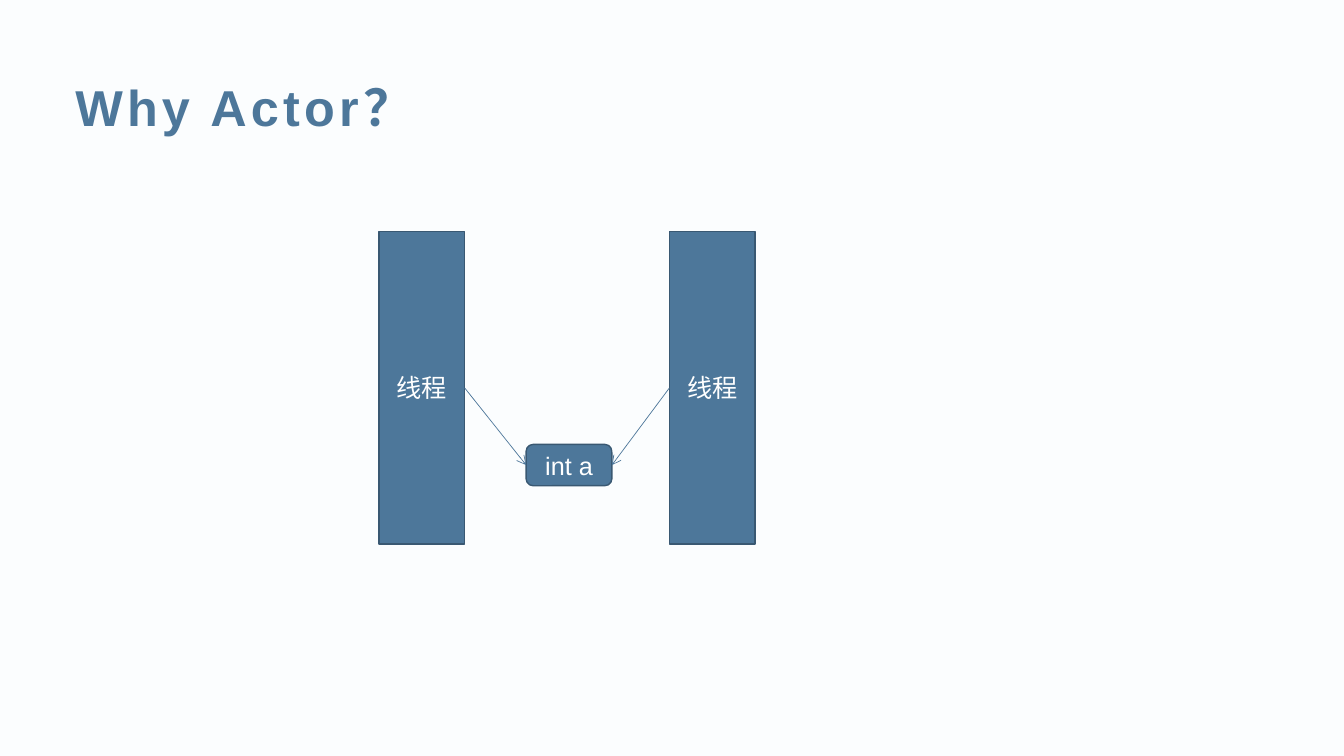
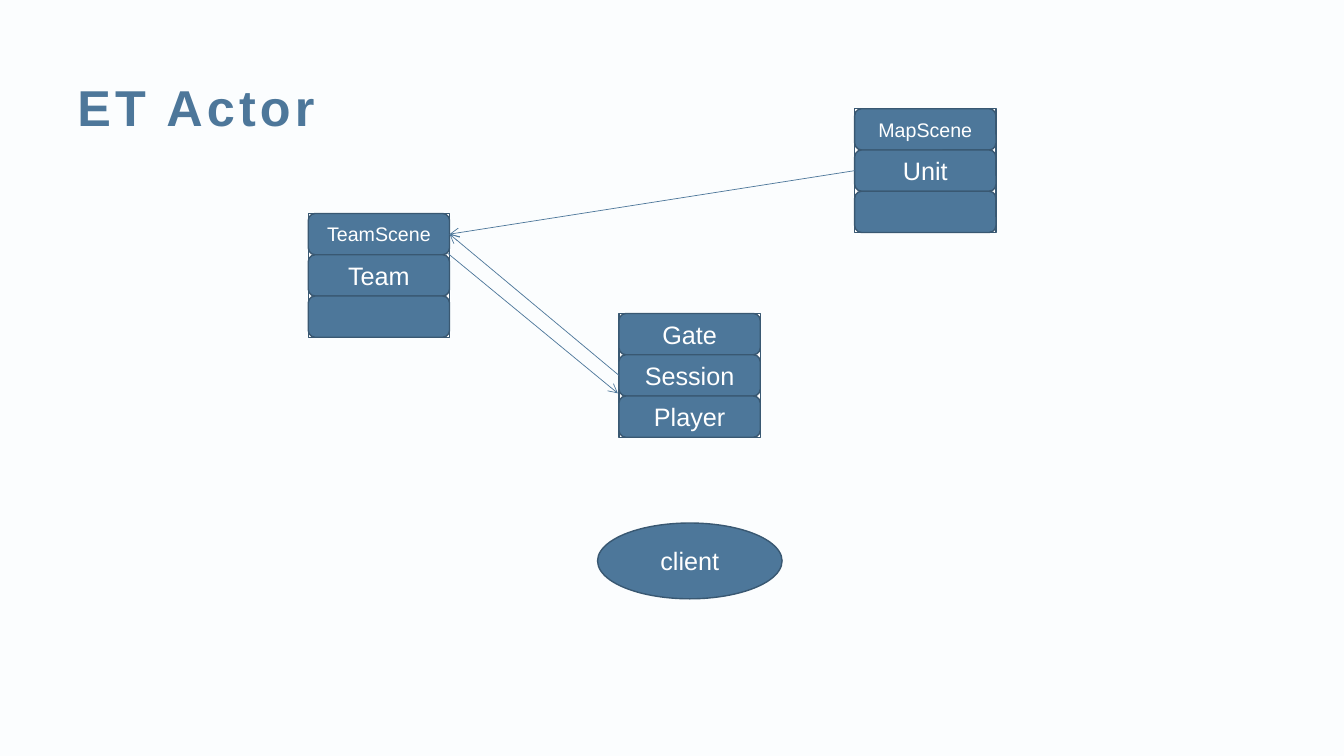
import pptx
import pptx.util
import pptx.dml.color
import pptx.enum.shapes
import pptx.enum.text
import pptx.oxml
import pptx.oxml.ns

Cm = pptx.util.Cm
Pt = pptx.util.Pt
RGBColor = pptx.dml.color.RGBColor
MSO_SHAPE = pptx.enum.shapes.MSO_SHAPE
PP_ALIGN = pptx.enum.text.PP_ALIGN
MSO_ANCHOR = pptx.enum.text.MSO_ANCHOR

PAPER = RGBColor(0xFB, 0xFD, 0xFE)
BLUE = RGBColor(0x4D, 0x77, 0x9A)
EDGE = RGBColor(0x39, 0x58, 0x72)
WHITE = RGBColor(0xFF, 0xFF, 0xFF)
FONT = "Arial"
ROW_W, ROW_H = 3.56, 1.04
LEFT_SITE, RIGHT_SITE = 1, 3


def style_text(p, size, color):
    p.font.name = FONT
    p.font.size = Pt(size)
    p.font.color.rgb = color


def add_title(slide, text, x, y, w, h):
    tf = slide.shapes.add_textbox(Cm(x), Cm(y), Cm(w), Cm(h)).text_frame
    tf.word_wrap = True
    tf.vertical_anchor = MSO_ANCHOR.MIDDLE
    p = tf.paragraphs[0]
    style_text(p, 36, BLUE)
    p.font.bold = True
    r = p.add_run()
    r.text = text
    r._r.get_or_add_rPr().set("spc", "300")


def add_node(shapes, kind, x, y, w, h, text="", size=18, fill=BLUE):
    sp = shapes.add_shape(kind, Cm(x), Cm(y), Cm(w), Cm(h))
    sp.shadow.inherit = False
    sp.fill.solid()
    sp.fill.fore_color.rgb = fill
    sp.line.color.rgb = EDGE
    sp.line.width = Pt(1)
    if text:
        tf = sp.text_frame
        tf.word_wrap = True
        tf.vertical_anchor = MSO_ANCHOR.MIDDLE
        p = tf.paragraphs[0]
        p.text = text
        p.alignment = PP_ALIGN.CENTER
        style_text(p, size, WHITE)
    return sp


def add_arrow(slide, x1=0, y1=0, x2=0, y2=0):
    line = slide.shapes.add_connector(
        pptx.enum.shapes.MSO_CONNECTOR.STRAIGHT, Cm(x1), Cm(y1), Cm(x2), Cm(y2))
    line.line.color.rgb = BLUE
    line.line.width = Pt(0.5)
    ns = pptx.oxml.ns.nsdecls("a")
    line.line._get_or_add_ln().append(
        pptx.oxml.parse_xml(f'<a:tailEnd {ns} type="arrow"/>'))
    line._element.spPr.append(pptx.oxml.parse_xml(f"<a:effectLst {ns}/>"))
    return line


def link(slide, source, source_site, target, target_site):
    line = add_arrow(slide)
    line.begin_connect(source, source_site)
    line.end_connect(target, target_site)


def add_stack(slide, x, y, labels, head_size=18):
    shapes = slide.shapes.add_group_shape().shapes
    add_node(shapes, MSO_SHAPE.RECTANGLE, x, y, ROW_W, ROW_H * len(labels), fill=WHITE)
    return [
        add_node(shapes, MSO_SHAPE.ROUNDED_RECTANGLE, x, y + i * ROW_H, ROW_W, ROW_H,
                 label, 18 if i else head_size)
        for i, label in enumerate(labels)
    ]


def add_shared_variable(slide, x, y, w, h):
    bar_w = 2.16
    left, right = [
        add_node(slide.shapes, MSO_SHAPE.RECTANGLE, bar_x, y, bar_w, h, "线程")
        for bar_x in (x, x + w - bar_w)
    ]
    variable = add_node(slide.shapes, MSO_SHAPE.ROUNDED_RECTANGLE,
                        x + 3.71, y + 5.36, bar_w, ROW_H, "int a")
    link(slide, left, RIGHT_SITE, variable, LEFT_SITE)
    link(slide, right, LEFT_SITE, variable, RIGHT_SITE)


def add_actor_messages(slide, x, y):
    gate, session, player = add_stack(
        slide, x + 7.83, y + 5.16, ["Gate", "Session", "Player"])
    team_scene, team, team_spare = add_stack(
        slide, x, y + 2.64, ["TeamScene", "Team", ""], 14)
    link(slide, session, LEFT_SITE, team_scene, RIGHT_SITE)
    add_arrow(slide, x + 3.51, y + 3.64, x + 7.8, y + 7.17)
    add_node(slide.shapes, MSO_SHAPE.OVAL, x + 7.29, y + 10.44, 4.65, 1.91, "client")
    map_scene, unit, map_spare = add_stack(
        slide, x + 13.77, y, ["MapScene", "Unit", ""], 14)
    link(slide, unit, LEFT_SITE, team_scene, RIGHT_SITE)


def add_slide(prs, title, title_x):
    slide = prs.slides.add_slide(prs.slide_layouts[6])
    add_title(slide, title, title_x, 1.7, 31.19, 1.96)
    return slide


def main():
    prs = pptx.Presentation()
    prs.slide_width, prs.slide_height = Cm(33.87), Cm(19.05)
    background = prs.slide_master.background.fill
    background.solid()
    background.fore_color.rgb = PAPER

    add_shared_variable(add_slide(prs, "Why Actor？", 1.65), 9.55, 5.84, 9.48, 7.87)
    add_actor_messages(add_slide(prs, "ET Actor", 1.7), 7.77, 2.74)
    prs.save("out.pptx")


if __name__ == "__main__":
    main()
